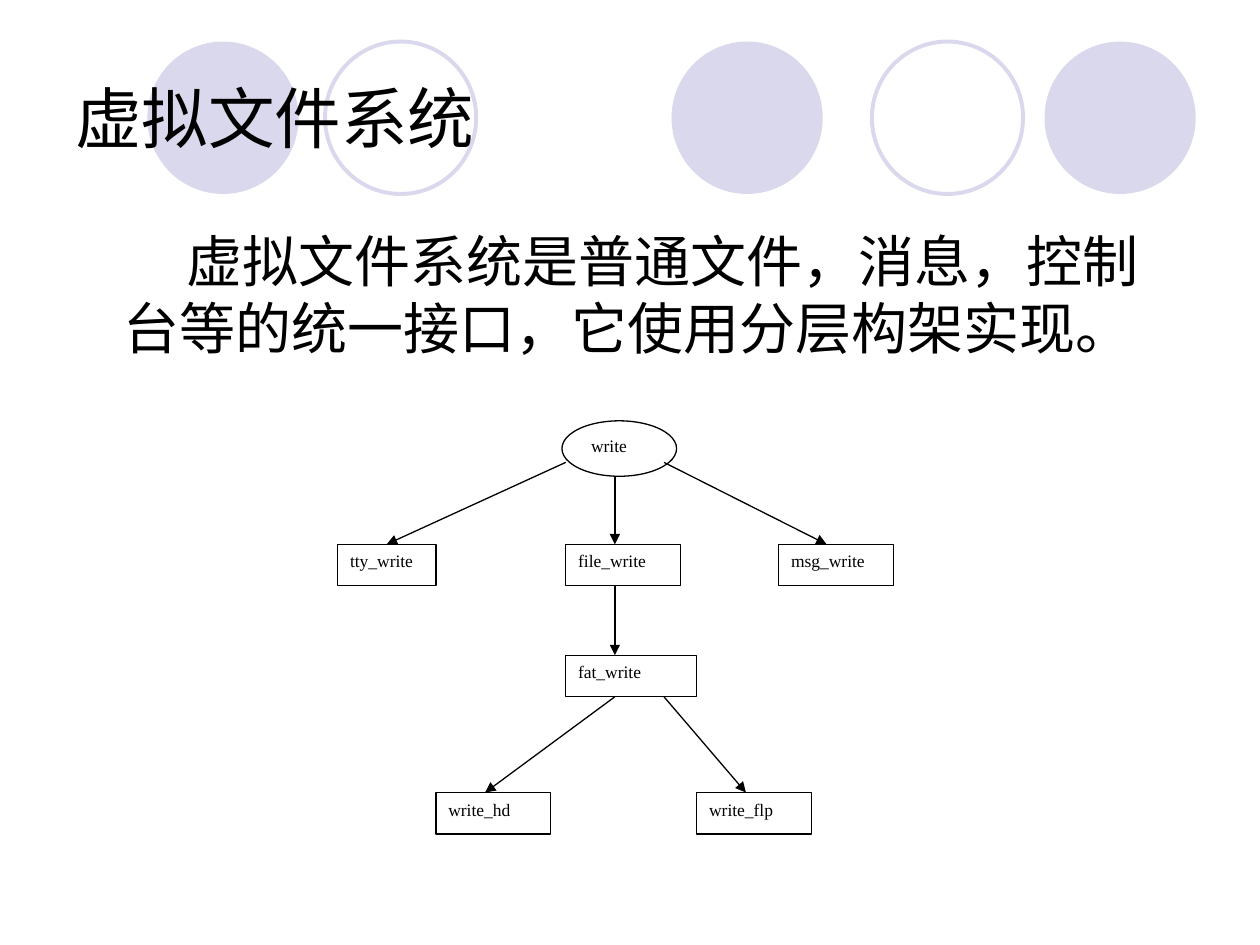
import dataclasses

import lxml.etree
import pptx
import pptx.dml.color
import pptx.enum.shapes
import pptx.enum.text
import pptx.oxml.ns
import pptx.util
from pptx.util import Inches

SHAPE = pptx.enum.shapes.MSO_SHAPE
ALIGN = pptx.enum.text.PP_ALIGN
ANCHOR = pptx.enum.text.MSO_ANCHOR


@dataclasses.dataclass(frozen=True)
class Theme:
    """Colours, fonts and sizes of the slide."""

    ink: str = "000000"
    paper: str = "FFFFFF"
    lilac: str = "D9D8EC"
    heading_font: str = "Arial"
    diagram_font: str = "Times New Roman"
    title_size: float = 38
    body_size: float = 32
    node_size: float = 10
    ring_width: float = 2.25
    line_width: float = 0.75


class SlideBuilder:
    """Draws styled elements on the current slide."""

    def __init__(self, slide, theme):
        self.slide = slide
        self.theme = theme

    def color(self, value):
        return pptx.dml.color.RGBColor.from_string(value)

    def fill_paragraph(self, paragraph, text, font, size):
        paragraph.text = text
        paragraph.font.name = font
        paragraph.font.size = pptx.util.Pt(size)
        paragraph.font.color.rgb = self.color(self.theme.ink)

    def shape(self, kind, area, fill=None, line=None, width=0.75):
        shape = self.slide.shapes.add_shape(kind, *map(Inches, area))
        shape.shadow.inherit = False
        if fill:
            shape.fill.solid()
            shape.fill.fore_color.rgb = self.color(fill)
        else:
            shape.fill.background()
        if line:
            shape.line.color.rgb = self.color(line)
            shape.line.width = pptx.util.Pt(width)
        else:
            shape.line.fill.background()
        return shape

    def disc(self, left):
        self.shape(SHAPE.OVAL, (left, 0.33, 1.2, 1.21), fill=self.theme.lilac)

    def ring(self, left):
        self.shape(SHAPE.OVAL, (left, 0.33, 1.2, 1.21),
                   line=self.theme.lilac, width=self.theme.ring_width)

    def text(self, area, text, size, anchor=ANCHOR.TOP):
        box = self.slide.shapes.add_textbox(*map(Inches, area))
        box.text_frame.word_wrap = True
        box.text_frame.vertical_anchor = anchor
        paragraph = box.text_frame.paragraphs[0]
        self.fill_paragraph(paragraph, text, self.theme.heading_font, size)
        return paragraph

    def title(self, text):
        self.text((0.5, 0.3, 9, 1.25), text, self.theme.title_size, ANCHOR.MIDDLE)

    def body(self, text):
        paragraph = self.text((0.5, 1.75, 9, 4.95), text, self.theme.body_size)
        paragraph.space_before = pptx.util.Pt(8)
        properties = paragraph._p.get_or_add_pPr()
        properties.set("marL", str(Inches(0.38)))
        properties.set("indent", str(Inches(0.5)))

    def node(self, text, left, top, width=0.91, height=0.33, kind=SHAPE.RECTANGLE):
        theme = self.theme
        node = self.shape(kind, (left, top, width, height),
                          theme.paper, theme.ink, theme.line_width)
        node.text_frame.vertical_anchor = ANCHOR.TOP
        paragraph = node.text_frame.paragraphs[0]
        paragraph.alignment = ALIGN.JUSTIFY
        self.fill_paragraph(paragraph, text, theme.diagram_font, theme.node_size)

    def arrow(self, start, end):
        arrow = self.slide.shapes.add_connector(
            pptx.enum.shapes.MSO_CONNECTOR.STRAIGHT, *map(Inches, start + end))
        arrow.line.color.rgb = self.color(self.theme.ink)
        arrow.line.width = pptx.util.Pt(self.theme.line_width)
        qualify = pptx.oxml.ns.qn
        lxml.etree.SubElement(arrow.line._get_or_add_ln(), qualify("a:tailEnd"), type="triangle")
        lxml.etree.SubElement(arrow._element.spPr, qualify("a:effectLst"))


def main():
    deck = pptx.Presentation()
    deck.slide_width, deck.slide_height = Inches(10), Inches(7.5)
    page = SlideBuilder(deck.slides.add_slide(deck.slide_layouts[6]), Theme())

    for left in (5.33, 8.29, 1.17):
        page.disc(left)
    for left in (6.92, 2.58):
        page.ring(left)
    page.title("虚拟文件系统")
    page.body("虚拟文件系统是普通文件，消息，控制台等的统一接口，它使用分层构架实现。")

    handler_top, fat_top, driver_top, node_height = 4.32, 5.2, 6.29, 0.33
    page.node("write", 4.46, 3.34, height=0.44, kind=SHAPE.OVAL)
    page.node("tty_write", 2.68, handler_top, width=0.78)
    page.node("file_write", 4.49, handler_top)
    page.node("msg_write", 6.18, handler_top)
    page.node("fat_write", 4.49, fat_top, width=1.04)
    page.node("write_hd", 3.46, driver_top)
    page.node("write_flp", 5.53, driver_top)

    trunk, branch = 4.88, 5.27
    fat_bottom = fat_top + node_height
    for start, end in (
        ((trunk, 3.78), (trunk, handler_top)),
        ((4.49, 3.67), (3.07, handler_top)),
        ((branch, 3.67), (6.56, handler_top)),
        ((trunk, handler_top + node_height), (trunk, fat_top)),
        ((trunk, fat_bottom), (3.85, driver_top)),
        ((branch, fat_bottom), (5.92, driver_top)),
    ):
        page.arrow(start, end)

    deck.save("out.pptx")


if __name__ == "__main__":
    main()
